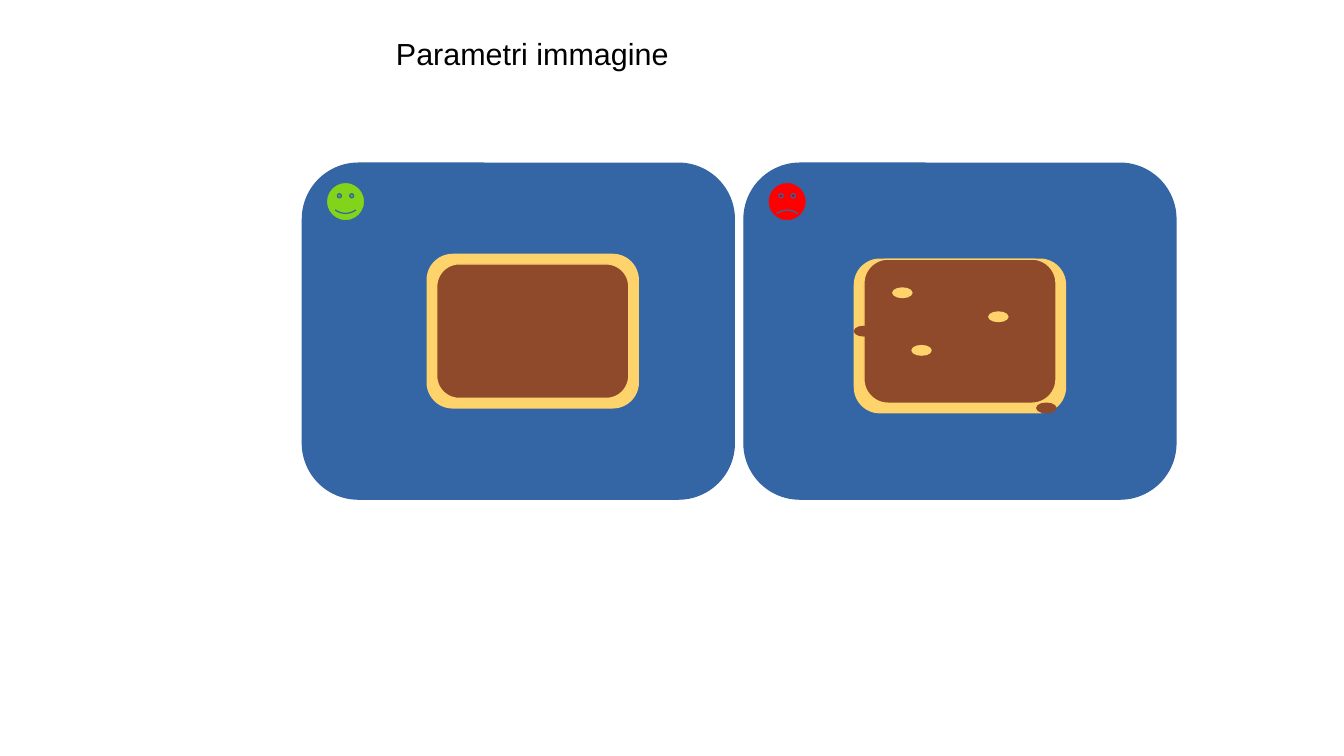
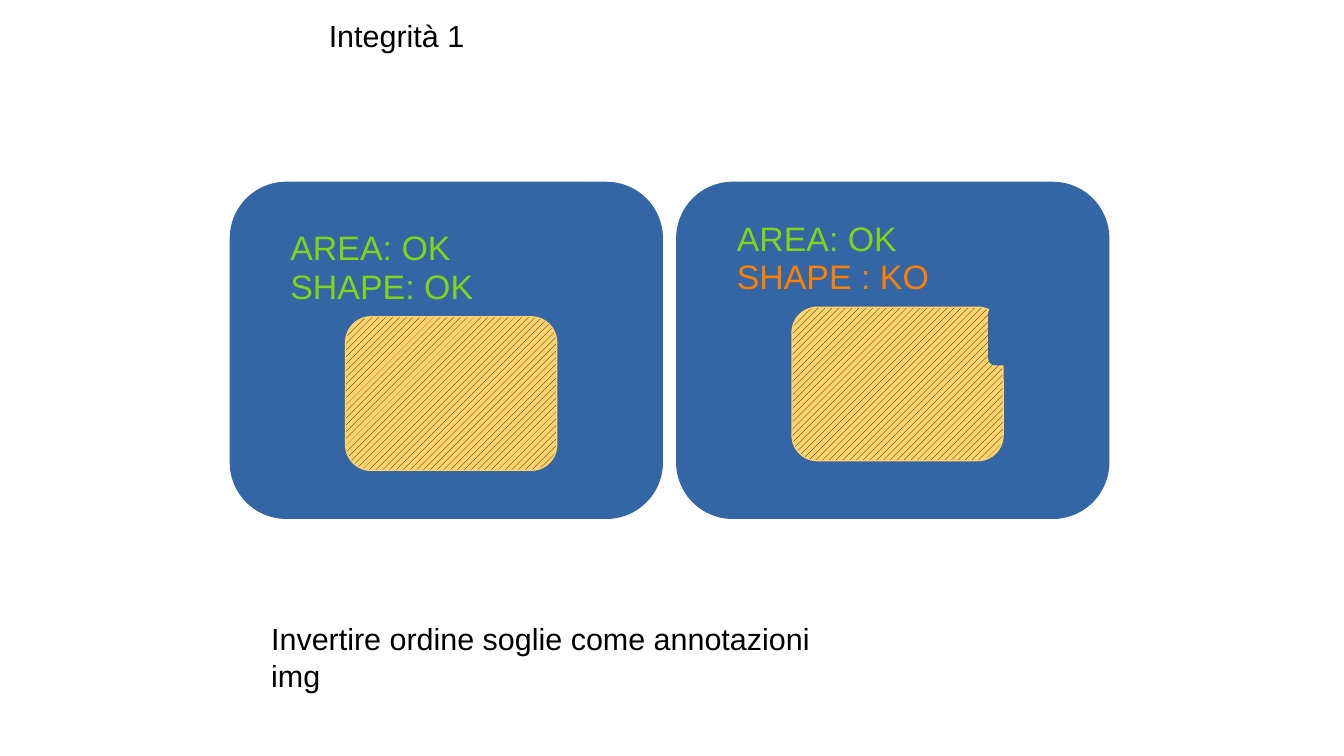
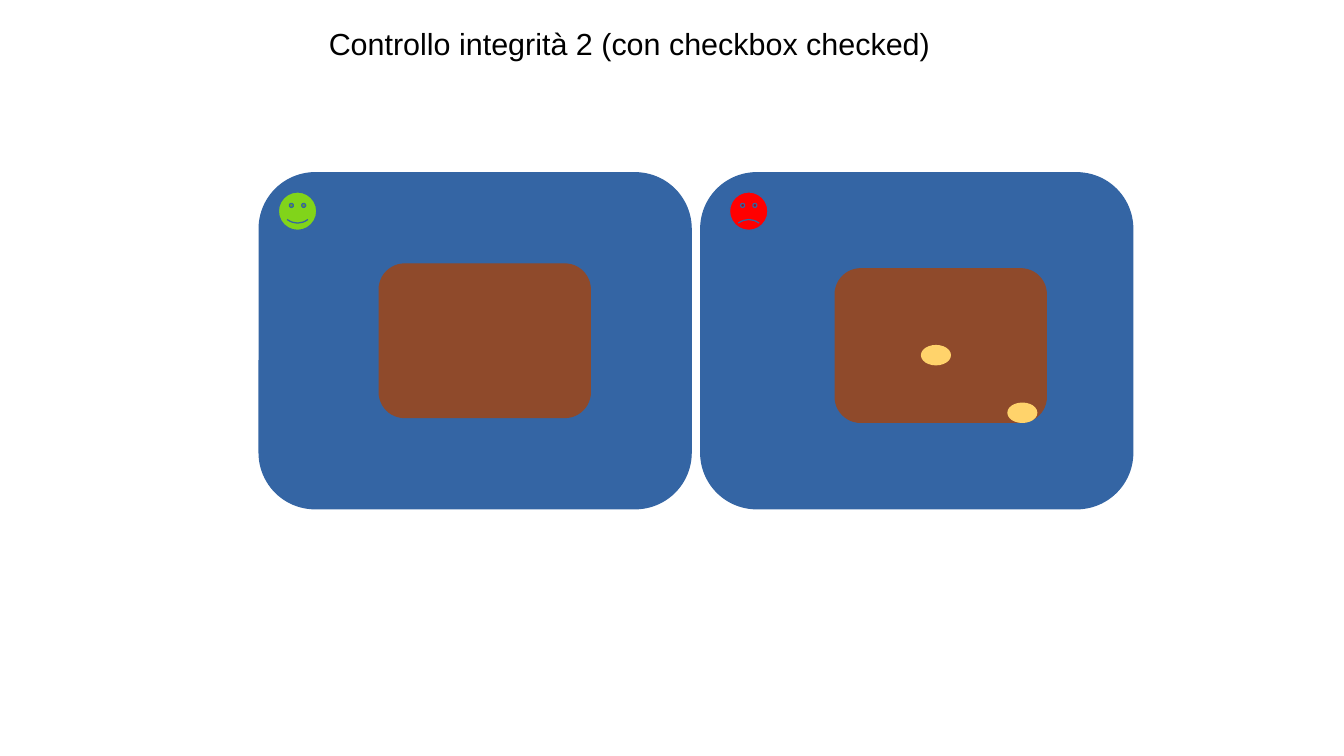
from pptx import Presentation
from pptx.dml.color import RGBColor
from pptx.enum.dml import MSO_PATTERN
from pptx.enum.shapes import MSO_SHAPE
from pptx.enum.text import MSO_AUTO_SIZE
from pptx.util import Cm, Pt

ROUNDED = MSO_SHAPE.FLOWCHART_ALTERNATE_PROCESS
OVAL = MSO_SHAPE.OVAL
SMILEY = MSO_SHAPE.SMILEY_FACE
HATCH = MSO_PATTERN.WIDE_UPWARD_DIAGONAL
FIT_SHAPE = MSO_AUTO_SIZE.SHAPE_TO_FIT_TEXT

FONT = "Arial"
BLACK = "000000"
BLUE = "3465A4"
CREAM = "FFD36B"
COCOA = "8F4A2B"
GREEN = "81D41A"
RED = "FF0000"
ORANGE = "FF8000"

PANEL_SIZE = (9, 7)
BISCUIT_SIZE = (4.4, 3.2)
RIM = 0.2
FACE_SIZE = (0.8, 0.8)
SMILE = 0.093


def color(value):
    return RGBColor.from_string(value)


def add_figure(page, kind, position, size, fill, line=None):
    figure = page.shapes.add_shape(kind, *map(Cm, position + size))
    figure.shadow.inherit = False
    figure.fill.solid()
    figure.fill.fore_color.rgb = color(fill)
    figure.line.color.rgb = color(line or fill)
    figure.line.width = 0
    return figure


def add_panels(page, top, *lefts):
    for left in lefts:
        add_figure(page, ROUNDED, (left, top), PANEL_SIZE, BLUE)


def add_biscuit(page, left, top, rim_color, top_rim=RIM):
    width, height = BISCUIT_SIZE
    add_figure(page, ROUNDED, (left, top), BISCUIT_SIZE, rim_color)
    add_figure(page, ROUNDED, (left + RIM, top + top_rim),
               (width - 2 * RIM, height - RIM - top_rim), COCOA, rim_color)


def add_hatched_biscuit(page, left, top):
    biscuit = add_figure(page, ROUNDED, (left, top), BISCUIT_SIZE, CREAM)
    biscuit.fill.patterned()
    biscuit.fill.pattern = HATCH
    biscuit.fill.fore_color.rgb = color(BLACK)
    biscuit.fill.back_color.rgb = color(CREAM)


def add_spots(page, size, fill, *positions):
    for position in positions:
        add_figure(page, OVAL, position, size, fill)


def add_faces(page, top, happy_left, sad_left):
    for left, fill, bend in ((happy_left, GREEN, SMILE), (sad_left, RED, -SMILE)):
        face = add_figure(page, SMILEY, (left, top), FACE_SIZE, fill, BLUE)
        face.adjustments[0] = bend


def add_text(page, text, left, top, width, height=0.97, size=18, ink=BLACK):
    box = page.shapes.add_textbox(Cm(left), Cm(top), Cm(width), Cm(height))
    frame = box.text_frame
    frame.word_wrap = True
    frame.auto_size = FIT_SHAPE
    para = frame.paragraphs[0]
    para.text = text
    para.font.name = FONT
    para.font.size = Pt(size)
    para.font.color.rgb = color(ink)


def add_verdict(page, text, left, top, ink=GREEN):
    add_text(page, text, left, top, 7.6, 1.04, 20, ink)


def build_image_parameters(page):
    add_panels(page, 3.4, 6.3, 15.5)
    add_biscuit(page, 8.9, 5.3, CREAM)
    add_biscuit(page, 17.8, 5.4, CREAM, top_rim=0)
    add_spots(page, (0.4, 0.2), CREAM, (18.6, 6), (20.6, 6.5), (19, 7.2))
    add_spots(page, (0.4, 0.2), COCOA, (21.6, 8.4), (17.8, 6.8))
    add_faces(page, 3.8, 6.8, 16)
    add_text(page, "Parametri immagine", 8, 0.6, 12.6)


def build_first_check(page):
    add_panels(page, 3.8, 4.8, 14.1)
    add_hatched_biscuit(page, 7.2, 6.6)
    add_hatched_biscuit(page, 16.5, 6.4)
    add_figure(page, ROUNDED, (20.6, 6.4), (0.8, 1.2), BLUE)
    add_verdict(page, "AREA: OK", 5.8, 4.6)
    add_verdict(page, "SHAPE: OK", 5.8, 5.4)
    add_verdict(page, "AREA: OK", 15.1, 4.4)
    add_verdict(page, "SHAPE : KO", 15.1, 5.2, ORANGE)
    add_text(page, "Integrità 1", 6.6, 0.23, 12.6)
    add_text(page, "Invertire ordine soglie come annotazioni img", 5.4, 12.8, 12.6, 1.68)


def build_second_check(page):
    add_panels(page, 3.6, 5.4, 14.6)
    add_biscuit(page, 7.9, 5.5, COCOA)
    add_biscuit(page, 17.4, 5.6, COCOA)
    add_spots(page, (0.6, 0.4), CREAM, (19.2, 7.2), (21, 8.4))
    add_faces(page, 4, 5.8, 15.2)
    add_text(page, "Controllo integrità 2 (con checkbox checked)", 6.6, 0.4, 16.2)


def main():
    deck = Presentation()
    deck.slide_width = Cm(28)
    deck.slide_height = Cm(15.75)
    for build in (build_image_parameters, build_first_check, build_second_check):
        build(deck.slides.add_slide(deck.slide_layouts[6]))
    deck.save("out.pptx")


if __name__ == "__main__":
    main()
